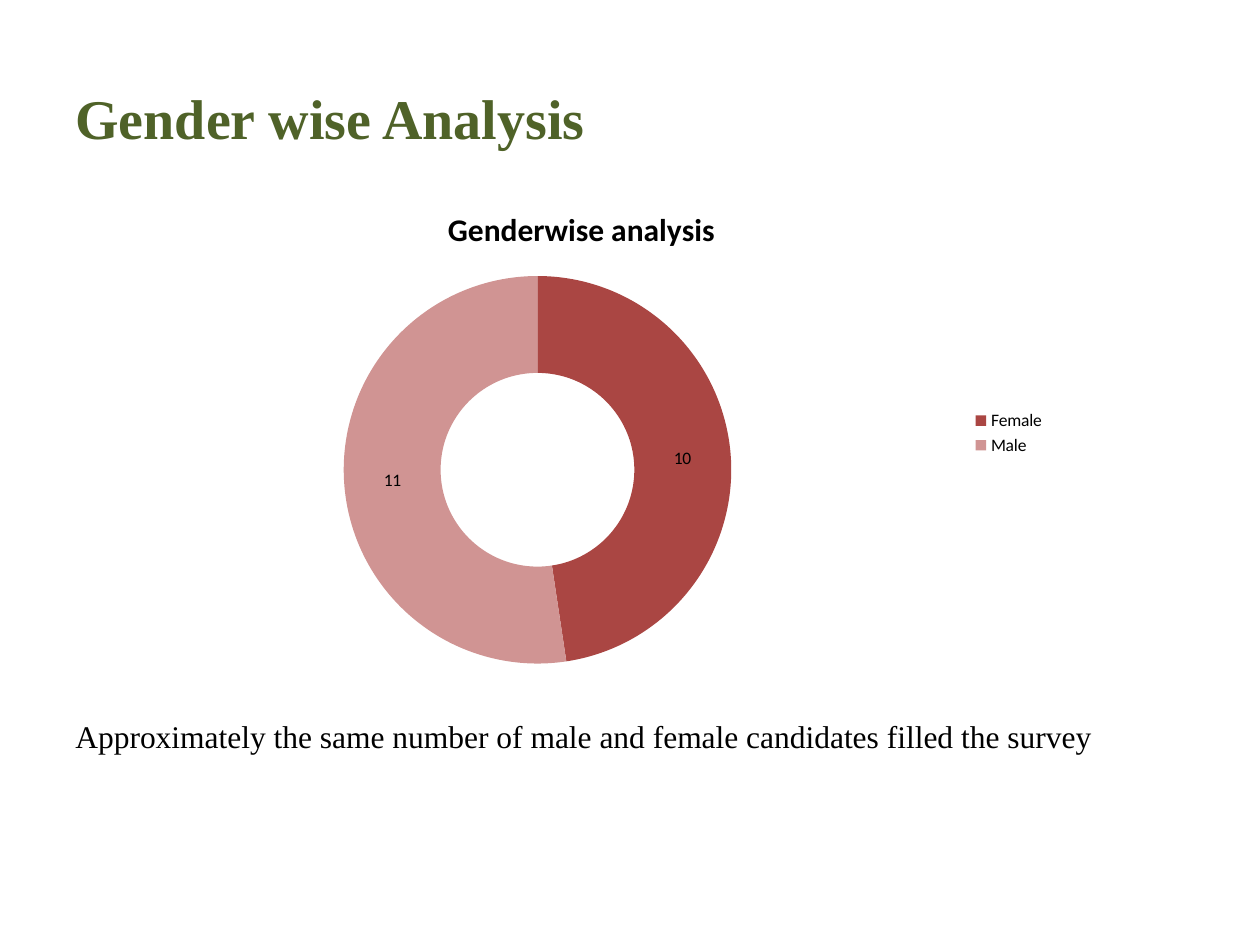
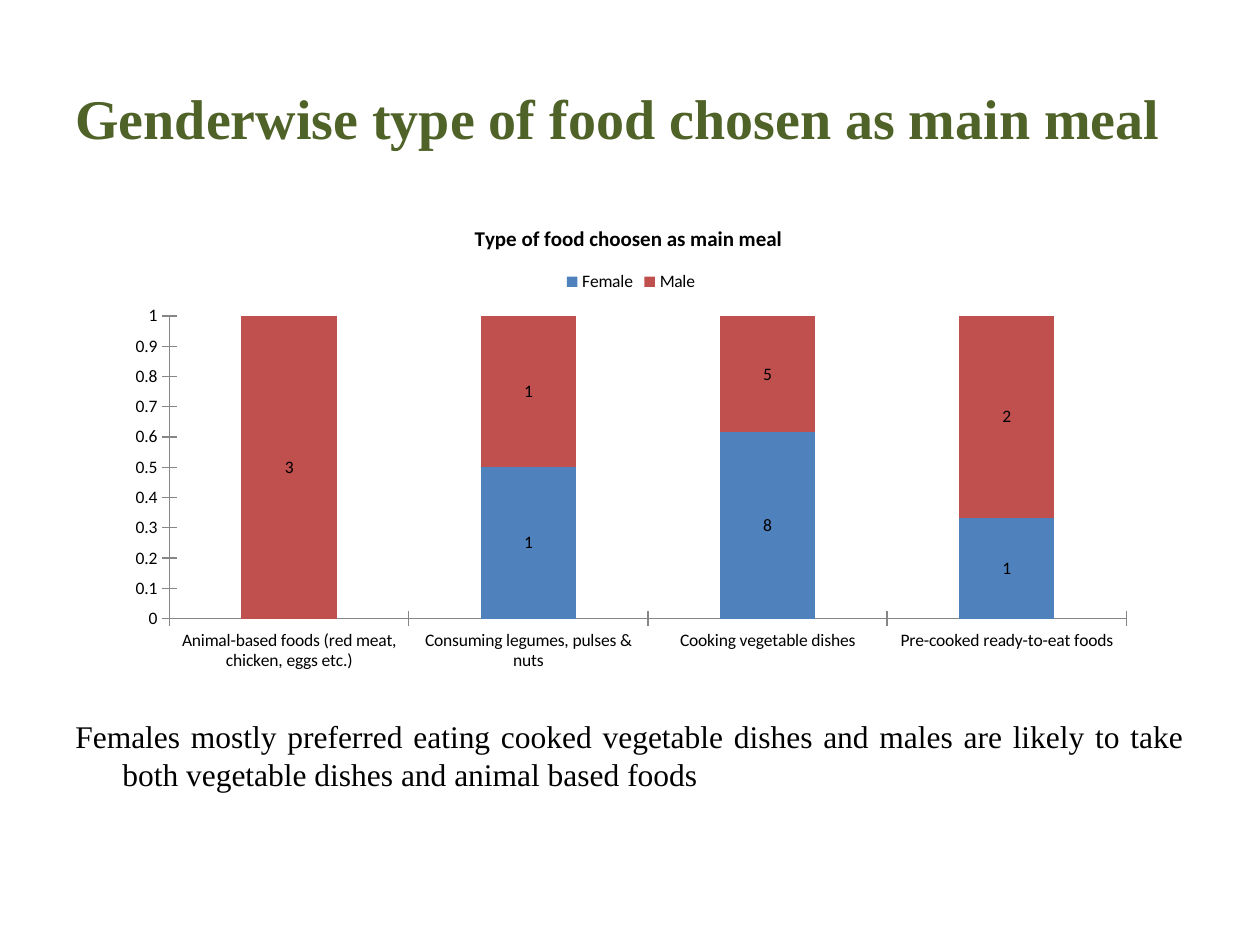
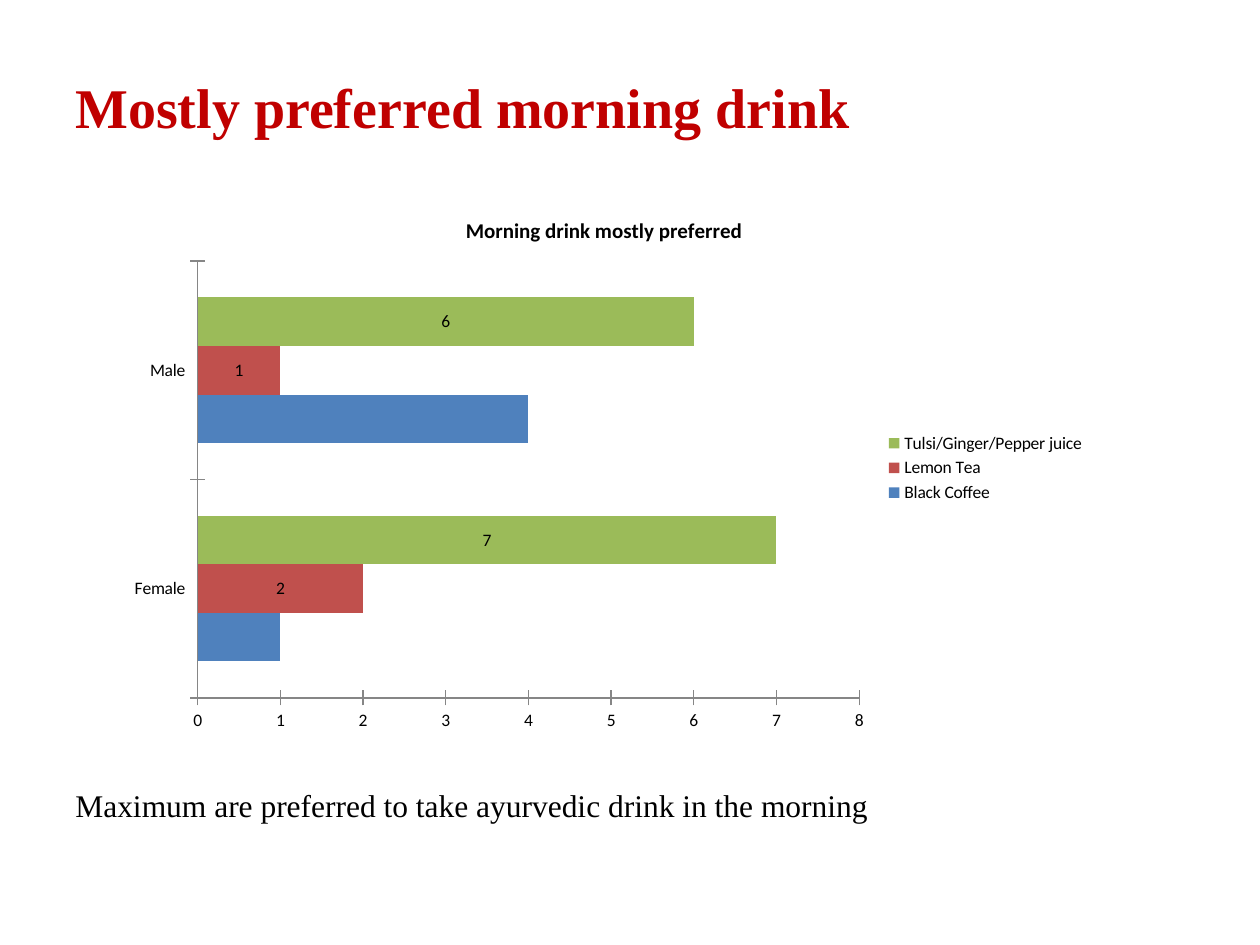
from pptx import Presentation
from pptx.chart.data import CategoryChartData
from pptx.dml.color import RGBColor
from pptx.enum.chart import XL_CHART_TYPE as ChartType
from pptx.enum.chart import XL_LABEL_POSITION as LabelPosition
from pptx.enum.chart import XL_LEGEND_POSITION as LegendPosition
from pptx.enum.chart import XL_TICK_MARK as TickMark
from pptx.enum.text import MSO_ANCHOR as Anchor
from pptx.enum.text import PP_ALIGN as Align
from pptx.util import Emu, Pt

SCALE = 914400 // 126  # EMU per pixel
COLORS = {
    "black": "000000", "axis": "868686",
    "olive": "4F6228", "crimson": "C00000",
    "blue": "4F81BD", "red": "C0504D", "green": "9BBB59",
    "dark rose": "AA4643", "light rose": "D09493",
}
TEXT_FONT, CHART_FONT = "Times New Roman", "Calibri"
LEFT, WIDTH = 63, 1134  # column shared by titles and comments
HANGING = 47


def px(length):
    return Emu(length * SCALE)


def rgb(name):
    return RGBColor.from_string(COLORS[name])


def style_font(font, name, size, color, bold=False):
    font.name, font.size, font.bold = name, Pt(size), bold
    font.color.rgb = rgb(color)


def add_text(slide, box, text, size, color, bold=False, anchor=Anchor.TOP):
    shape = slide.shapes.add_textbox(*map(px, box))
    frame = shape.text_frame
    frame.word_wrap = True
    frame.vertical_anchor = anchor
    paragraph = frame.paragraphs[0]
    run = paragraph.add_run()
    run.text = text
    style_font(run.font, TEXT_FONT, size, color, bold)
    return paragraph


def add_title(slide, text, color="olive", height=158):
    add_text(slide, (LEFT, 38, WIDTH, height), text, 32, color, True, Anchor.MIDDLE)


def add_comment(slide, text, top, height, align=Align.JUSTIFY):
    paragraph = add_text(slide, (LEFT, top, WIDTH, height), text, 18, "black")
    paragraph.alignment = align
    paragraph.space_before = Pt(3.6)
    # Hanging indent
    properties = paragraph._p.get_or_add_pPr()
    properties.set("marL", str(px(HANGING)))
    properties.set("indent", str(px(-HANGING)))


def add_chart(slide, box, kind, title, title_size, categories, series, legend):
    """Place a chart with its title and legend; series maps names to values."""
    data = CategoryChartData(number_format="General")
    data.categories = categories
    for name, values in series.items():
        data.add_series(name, values)
    chart = slide.shapes.add_chart(kind, *map(px, box), data).chart
    style_font(chart.font, CHART_FONT, 10, "black")
    chart.has_title = True
    run = chart.chart_title.text_frame.paragraphs[0].add_run()
    run.text = title
    style_font(run.font, CHART_FONT, title_size, "black", True)
    chart.chart_title.include_in_layout = False
    chart.has_legend = True
    chart.legend.position = legend
    chart.legend.include_in_layout = False
    return chart


def paint(part, color):
    part.format.fill.solid()
    part.format.fill.fore_color.rgb = rgb(color)


def show_values(series, position=None):
    labels = series.data_labels
    labels.show_value = True
    if position is not None:
        labels.position = position


def style_bars(chart, colors, unlabelled=()):
    plot = chart.plots[0]
    plot.gap_width = 150
    plot.vary_by_categories = False
    for series, color in zip(plot.series, colors):
        paint(series, color)
        series.invert_if_negative = False
        if series.name not in unlabelled:
            show_values(series, LabelPosition.CENTER)
    for axis in (chart.category_axis, chart.value_axis):
        axis.has_major_gridlines = False
        axis.major_tick_mark = TickMark.CROSS
        axis.minor_tick_mark = TickMark.NONE
        axis.format.line.color.rgb = rgb("axis")
        axis.format.line.width = Pt(0.75)
    chart.value_axis.tick_labels.number_format = "General"
    chart.value_axis.tick_labels.number_format_is_linked = False


def gender_slide(slide):
    add_title(slide, "Gender wise Analysis")
    add_comment(slide, "Approximately the same number of male and female "
                "candidates filled the survey", 711, 133)
    chart = add_chart(slide, (105, 185, 953, 496), ChartType.DOUGHNUT,
                      "Genderwise analysis", 18, ["Female", "Male"],
                      {"Series 1": [10, 11]}, LegendPosition.RIGHT)
    chart.plots[0].vary_by_categories = True
    ring = chart.plots[0].series[0]
    for index, color in enumerate(("dark rose", "light rose")):
        paint(ring.points[index], color)
    show_values(ring)


def meal_slide(slide):
    add_title(slide, "Genderwise type of food chosen as main meal")
    add_comment(slide, "Females mostly preferred eating cooked vegetable dishes and "
                "males are likely to take both vegetable dishes and animal based foods",
                711, 133)
    categories = ["Animal-based foods (red meat, chicken, eggs etc.)",
                  "Consuming legumes, pulses & nuts",
                  "Cooking vegetable dishes", "Pre-cooked ready-to-eat foods"]
    chart = add_chart(slide, (115, 204, 1032, 476), ChartType.COLUMN_STACKED_100,
                      "Type of food choosen as main meal ", 12, categories,
                      {"Female": [None, 1, 8, 1], "Male": [3, 1, 5, 2]},
                      LegendPosition.TOP)
    chart.plots[0].overlap = 100
    style_bars(chart, ("blue", "red"))


def drink_slide(slide):
    add_title(slide, "Mostly preferred morning drink", "crimson", 137)
    add_comment(slide, "Maximum are preferred to take ayurvedic drink in the morning",
                780, 64, Align.LEFT)
    chart = add_chart(slide, (115, 195, 983, 546), ChartType.BAR_CLUSTERED,
                      "Morning drink mostly preferred ", 12, ["Female", "Male"],
                      {"Black Coffee": [1, 4], "Lemon Tea": [2, 1],
                       "Tulsi/Ginger/Pepper juice": [7, 6]},
                      LegendPosition.RIGHT)
    style_bars(chart, ("blue", "red", "green"), unlabelled=("Black Coffee",))


presentation = Presentation()
presentation.slide_width, presentation.slide_height = px(1260), px(945)
for build in (gender_slide, meal_slide, drink_slide):
    build(presentation.slides.add_slide(presentation.slide_layouts[6]))
presentation.save("out.pptx")
